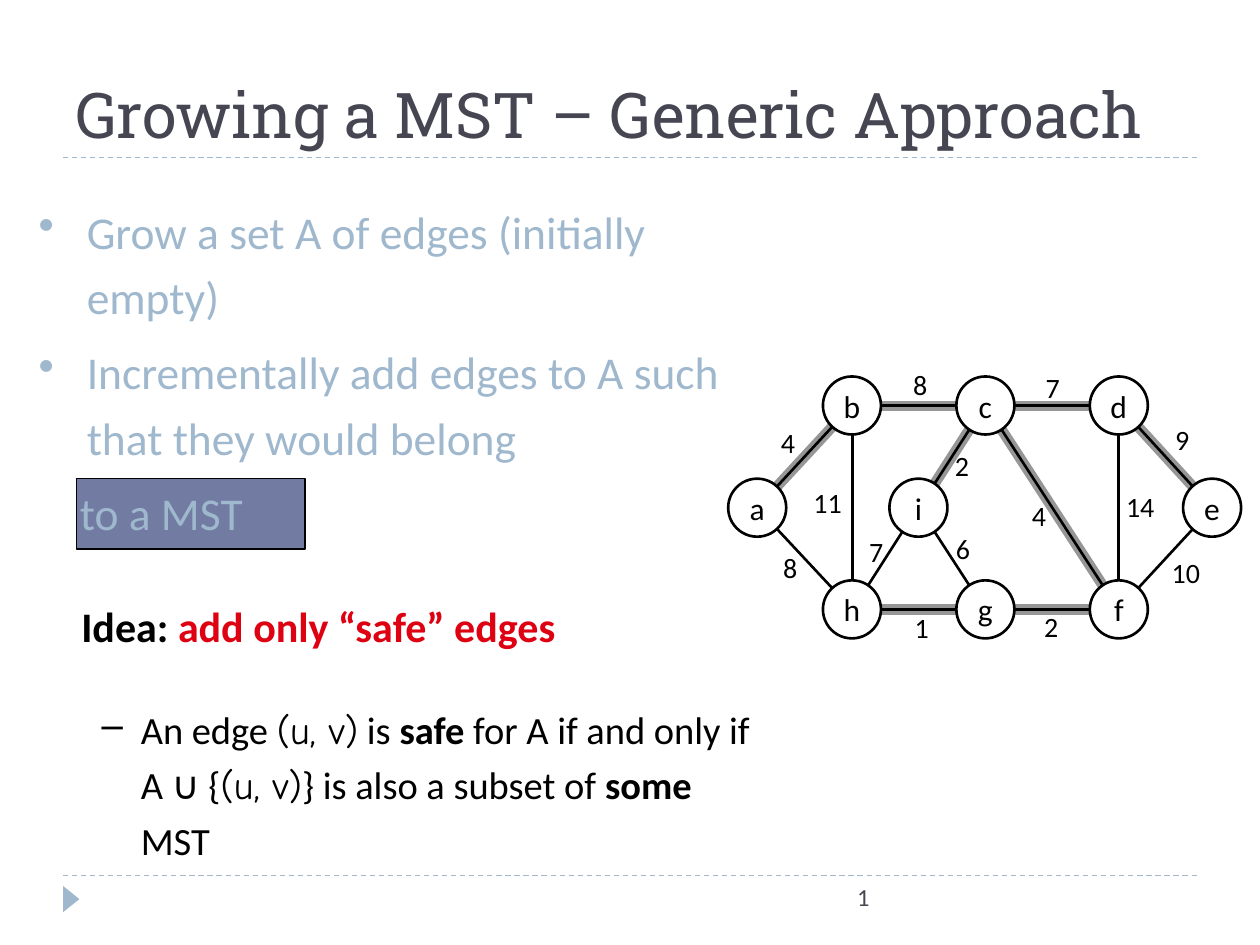
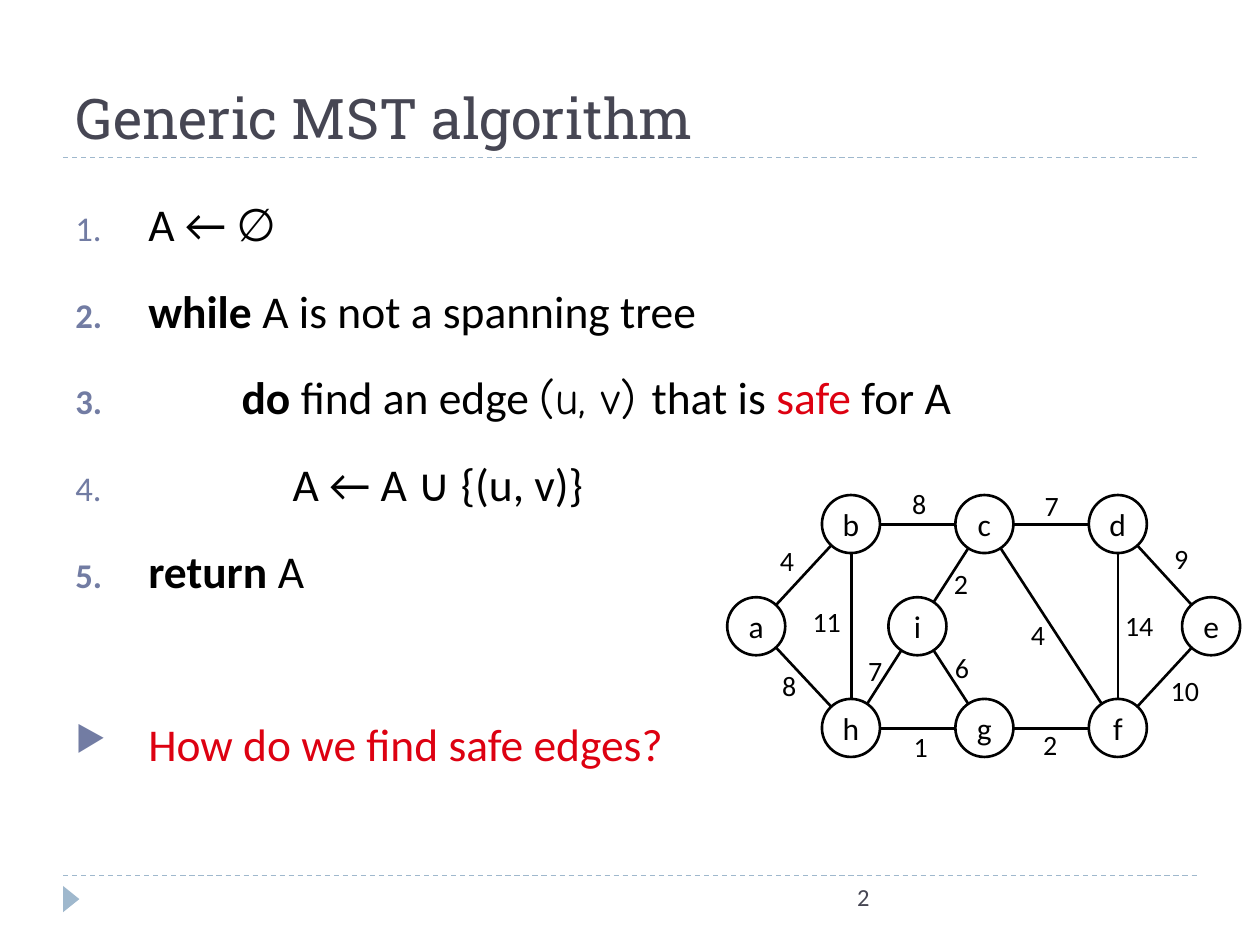
from collections import namedtuple
from math import hypot

from lxml.etree import SubElement
from pptx import Presentation
from pptx.dml.color import RGBColor
from pptx.enum.dml import MSO_LINE
from pptx.enum.shapes import MSO_CONNECTOR, MSO_SHAPE
from pptx.enum.text import MSO_ANCHOR, MSO_AUTO_SIZE, PP_ALIGN
from pptx.oxml.ns import qn
from pptx.util import Cm, Pt

Box = namedtuple("Box", "left top width height")

INK, SLATE, MIST, INDIGO, RED, TRACE = (
    "000000", "464653", "9FB8CD", "727CA3", "DD0111", "969696")
BODY_FONT, PAIR_FONT, TITLE_FONT = "Calibri", "Comic Neue", "Roboto Slab"
BOLD, PAIR, ALERT = {"bold": True}, {"name": PAIR_FONT}, {"color": RED}

TITLE_BOX = Box(1.27, 0.43, 22.86, 2.74)
FOOTER_BOX = Box(1.27, 17.65, 22.86, 1.02)

NODE_SIZE = 1.17
COLUMN_B, COLUMN_C, COLUMN_D = 1.91, 4.6, 7.29
MIDDLE_ROW, BOTTOM_ROW = 2.06, 4.11
NODES = {
    "a": (0, MIDDLE_ROW), "b": (COLUMN_B, 0), "c": (COLUMN_C, 0),
    "d": (COLUMN_D, 0), "e": (9.17, MIDDLE_ROW), "h": (COLUMN_B, BOTTOM_ROW),
    "g": (COLUMN_C, BOTTOM_ROW), "f": (COLUMN_D, BOTTOM_ROW),
    "i": (3.25, MIDDLE_ROW),
}
EDGES = {
    "ab": ("4", 0.81, 0.86), "bc": ("8", 3.48, -0.3),
    "cd": ("7", 6.15, -0.25), "ah": ("8", 0.86, 3.38),
    "bh": ("11", 1.47, 2.08), "hg": ("1", 3.51, 4.6),
    "gf": ("2", 6.12, 4.57), "hi": ("7", 2.59, 3.07),
    "ci": ("2", 4.32, 1.32), "cf": ("4", 5.87, 2.34),
    "df": ("14", 7.77, 2.16), "de": ("9", 8.76, 0.81),
    "ef": ("10", 8.69, 3.48), "ig": ("6", 4.34, 3.0),
}
TREE_EDGES = ["ab", "bc", "cd", "hg", "gf", "ci", "cf", "de"]


def rgb(hex_color):
    """Turn a hex string into a colour."""
    return RGBColor.from_string(hex_color)


def place(outer, left, top, width, height):
    """Give lengths for a box set relative to an outer box."""
    return Cm(outer.left + left), Cm(outer.top + top), Cm(width), Cm(height)


def set_font(font, size=None, color=None, name=None, bold=None):
    """Apply the given font settings."""
    if size:
        font.size = Pt(size)
    if color:
        font.color.rgb = rgb(color)
    if name:
        font.name = name
    if bold is not None:
        font.bold = bold


def write(paragraph, parts, size, color=INK):
    """Fill a paragraph with strings and (string, settings) pairs."""
    set_font(paragraph.font, size, color, BODY_FONT)
    for part in parts:
        words, settings = (part, {}) if isinstance(part, str) else part
        run = paragraph.add_run()
        run.text = words
        set_font(run.font, **settings)


def indent(paragraph, margin, hang=0, char=None, numbered=False, color=None, percent=None):
    """Set the margins and the bullet or number of a paragraph."""
    properties = paragraph._p.get_or_add_pPr()
    properties.set("marL", str(Cm(margin)))
    properties.set("indent", str(-Cm(hang)))
    if color:
        SubElement(SubElement(properties, qn("a:buClr")), qn("a:srgbClr"), val=color)
    if percent:
        SubElement(properties, qn("a:buSzPct"), val=str(percent * 1000))
    if numbered:
        SubElement(properties, qn("a:buAutoNum"), type="arabicPeriod")
    elif char:
        SubElement(properties, qn("a:buChar"), char=char)
    else:
        SubElement(properties, qn("a:buNone"))


def add_text(shapes, position, wrap=True):
    """Add a text box and return its frame."""
    frame = shapes.add_textbox(*position).text_frame
    frame.word_wrap = wrap
    return frame


def next_paragraph(frame, line_spacing, space_before):
    """Return the first unused paragraph, spaced from any before it."""
    first = frame.paragraphs[0]
    paragraph = frame.add_paragraph() if first.runs else first
    paragraph.line_spacing = line_spacing
    paragraph.space_before = Pt(space_before if paragraph is not first else 0)
    return paragraph


def add_line(shapes, start, end, color, weight, dash=None):
    """Draw a straight line between two points in centimetres."""
    line = shapes.add_connector(
        MSO_CONNECTOR.STRAIGHT, *(Cm(round(value, 2)) for value in (*start, *end)))
    line.line.color.rgb = rgb(color)
    line.line.width = Pt(weight)
    if dash:
        line.line.dash_style = dash
    SubElement(line._element.spPr, qn("a:effectLst"))


def add_panel(shapes, preset, position, fill=None, outline=None, weight=0.75):
    """Add a flat preset shape."""
    panel = shapes.add_shape(preset, *position)
    panel.shadow.inherit = False
    if fill:
        panel.fill.solid()
        panel.fill.fore_color.rgb = rgb(fill)
    else:
        panel.fill.background()
    if outline:
        panel.line.color.rgb = rgb(outline)
        panel.line.width = Pt(weight)
    else:
        panel.line.fill.background()
    return panel


def add_title(slide, box, heading, size):
    """Format the title and rule it off below."""
    title = slide.shapes.title
    title.left, title.top, title.width, title.height = place(box, 0, 0, box.width, box.height)
    frame = title.text_frame
    frame.text = heading
    frame.word_wrap = True
    frame.vertical_anchor = MSO_ANCHOR.BOTTOM
    frame.auto_size = MSO_AUTO_SIZE.NONE
    frame.paragraphs[0].alignment = PP_ALIGN.LEFT
    set_font(frame.paragraphs[0].font, size, SLATE, TITLE_FONT)
    bottom = box.top + box.height
    add_line(slide.shapes, (box.left, bottom), (box.left + box.width, bottom),
             MIST, 0.75, MSO_LINE.DASH)


def add_footer(slide, box, number):
    """Draw the footer rule, the marker and the slide number."""
    add_line(slide.shapes, (box.left, box.top), (box.left + box.width, box.top),
             MIST, 0.75, MSO_LINE.DASH)
    marker = add_panel(slide.shapes, MSO_SHAPE.ISOSCELES_TRIANGLE,
                       place(box, -0.1, 0.31, 0.53, 0.33), MIST)
    marker.rotation = 90
    paragraph = add_text(slide.shapes, place(box, 6.78, 0, 9.73, box.height)).paragraphs[0]
    paragraph.alignment = PP_ALIGN.RIGHT
    set_font(paragraph.font, 14, SLATE, BODY_FONT)
    field = SubElement(paragraph._p, qn("a:fld"), type="slidenum",
                       id="{B6F15528-21DE-4FAA-801E-634DDDAF4B2B}")
    SubElement(field, qn("a:rPr"), lang="en-US")
    SubElement(field, qn("a:t")).text = str(number)


def edge_ends(box, edge):
    """Find where an edge meets the rims of its two nodes."""
    radius = NODE_SIZE / 2
    (x1, y1), (x2, y2) = ((box.left + NODES[node][0] + radius,
                           box.top + NODES[node][1] + radius) for node in edge)
    reach = radius / hypot(x2 - x1, y2 - y1)
    dx, dy = (x2 - x1) * reach, (y2 - y1) * reach
    return (x1 + dx, y1 + dy), (x2 - dx, y2 - dy)


def add_graph(slide, box, traced=()):
    """Draw the weighted graph with some edges traced in grey."""
    shapes = slide.shapes.add_group_shape().shapes
    for edge in traced:
        add_line(shapes, *edge_ends(box, edge), TRACE, 6)
    for node, (left, top) in NODES.items():
        circle = add_panel(shapes, MSO_SHAPE.OVAL,
                           place(box, left, top, NODE_SIZE, NODE_SIZE),
                           outline=INK, weight=1.5)
        frame = circle.text_frame
        frame.word_wrap = False
        frame.vertical_anchor = MSO_ANCHOR.MIDDLE
        frame.paragraphs[0].alignment = PP_ALIGN.CENTER
        write(frame.paragraphs[0], [node], 18)
    for edge in EDGES:
        add_line(shapes, *edge_ends(box, edge), INK, 1.5)
    for weight, left, top in EDGES.values():
        width = 0.81 if len(weight) == 1 else 1.14
        frame = add_text(shapes, place(box, left, top, width, 0.94), wrap=False)
        frame.auto_size = MSO_AUTO_SIZE.SHAPE_TO_FIT_TEXT
        write(frame.paragraphs[0], [weight], 16)


def add_approach(slide, box):
    """Write the approach, its highlighted words and the safe edge rule."""
    add_panel(slide.shapes, MSO_SHAPE.RECTANGLE,
              place(box, 1.02, 5.89, 4.6, 1.42), INDIGO, INK)
    frame = add_text(slide.shapes, place(box, 0, 0, box.width, box.height))
    for step in ("Grow a set A of edges (initially empty)",
                 "Incrementally add edges to A such that they would belong"):
        paragraph = next_paragraph(frame, 1.2, 5.5)
        indent(paragraph, 0.97, 0.97, "•")
        write(paragraph, [step], 26, MIST)
    target = next_paragraph(frame, 1.2, 5.5)
    indent(target, 0.83)
    write(target, ["to a MST"], 26, MIST)
    safe_rule = next_paragraph(frame, 1.2, 90)
    safe_rule.level = 1
    indent(safe_rule, 2.06, 0.79, "–")
    write(safe_rule, ["An edge ", ("(u, v)", PAIR), " is ", ("safe ", BOLD),
                      "for A if and only if A ∪ {", ("(u, v)", PAIR),
                      "} is also a subset of ", ("some", BOLD), " MST"], 22)
    idea = add_text(slide.shapes, place(box, 0.86, 8.23, 15.06, 1.27)).paragraphs[0]
    idea.font.bold = True
    write(idea, ["Idea:", (" add only “safe” edges", ALERT)], 24)


def add_algorithm(slide, box):
    """Write the numbered algorithm and the question it raises."""
    frame = add_text(slide.shapes, place(box, 0, 0, box.width, box.height))
    steps = [
        (1.47, ["A ← ∅"]),
        (1.47, [("while ", BOLD), "A is not a spanning tree"]),
        (3.35, [("do ", BOLD), "find an edge ", ("(u, v) ", PAIR), "that is ",
                ("safe", ALERT), " for A"]),
        (4.38, ["A ← A ∪ {(u, v)}"]),
        (1.47, [("return ", BOLD), "A"]),
    ]
    for margin, parts in steps:
        paragraph = next_paragraph(frame, 1.4, 6)
        indent(paragraph, margin, margin, numbered=True, color=INDIGO, percent=76)
        write(paragraph, parts, 26)
    question = next_paragraph(frame, 1.4, 55)
    indent(question, 1.47, 1.47, "▶", color=INDIGO, percent=76)
    write(question, ["How do we find safe edges?"], 26, RED)


def add_slide(deck, heading, size, number):
    """Add a slide with the shared title and footer."""
    slide = deck.slides.add_slide(deck.slide_layouts[5])
    add_footer(slide, FOOTER_BOX, number)
    add_title(slide, TITLE_BOX, heading, size)
    return slide


def main():
    """Build and save the deck."""
    deck = Presentation()
    deck.slide_width, deck.slide_height = Cm(25.4), Cm(19.05)

    approach = add_slide(deck, "Growing a MST – Generic Approach", 36, 6)
    add_graph(approach, Box(14.68, 7.59, 10.34, 5.28), TREE_EDGES)
    add_approach(approach, Box(0.53, 3.76, 14.91, 10.9))

    algorithm = add_slide(deck, "Generic MST algorithm", 32, 7)
    add_algorithm(algorithm, Box(1.27, 3.38, 22.86, 13.72))
    add_graph(algorithm, Box(14.66, 9.98, 10.34, 5.28))

    deck.save("out.pptx")


if __name__ == "__main__":
    main()
